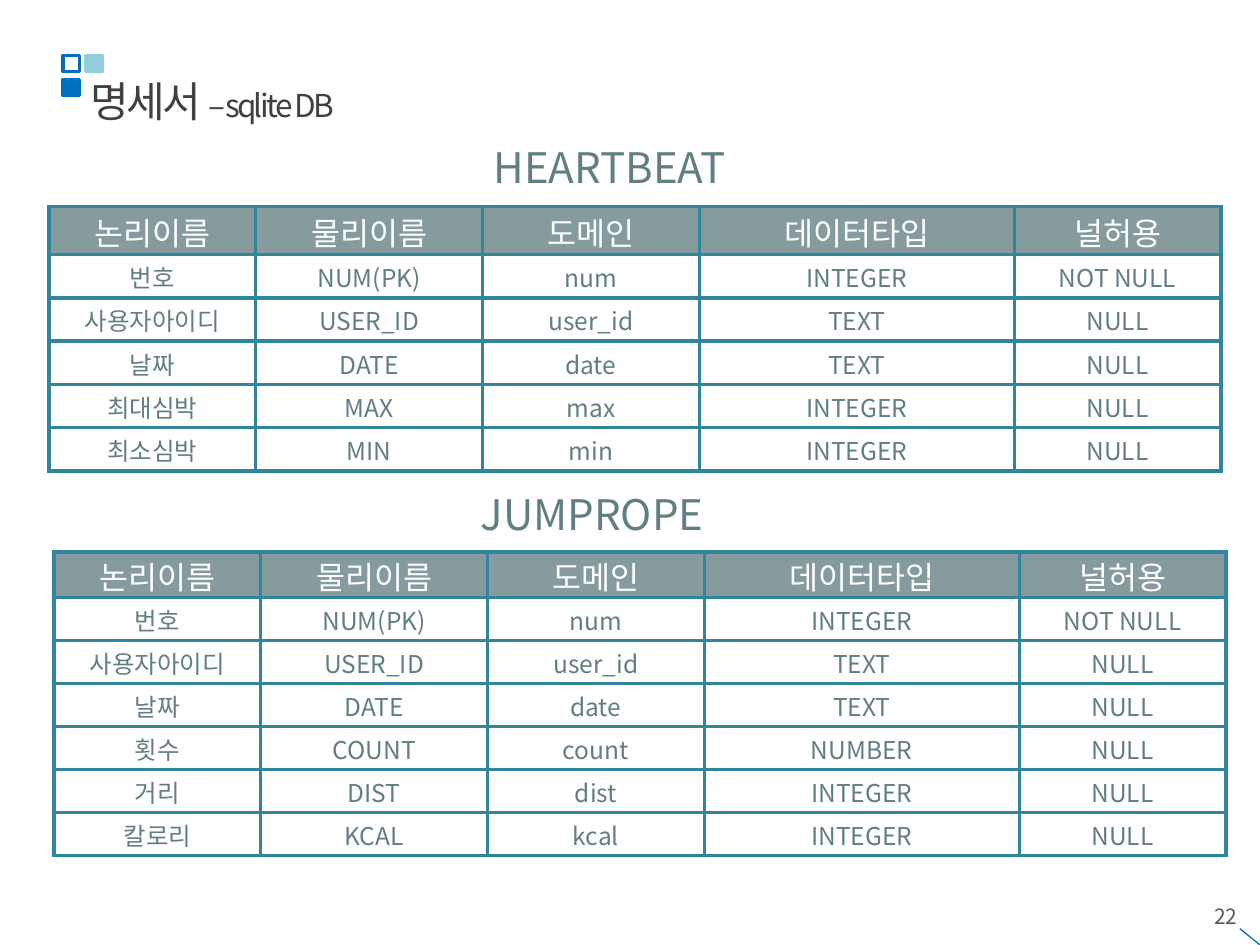
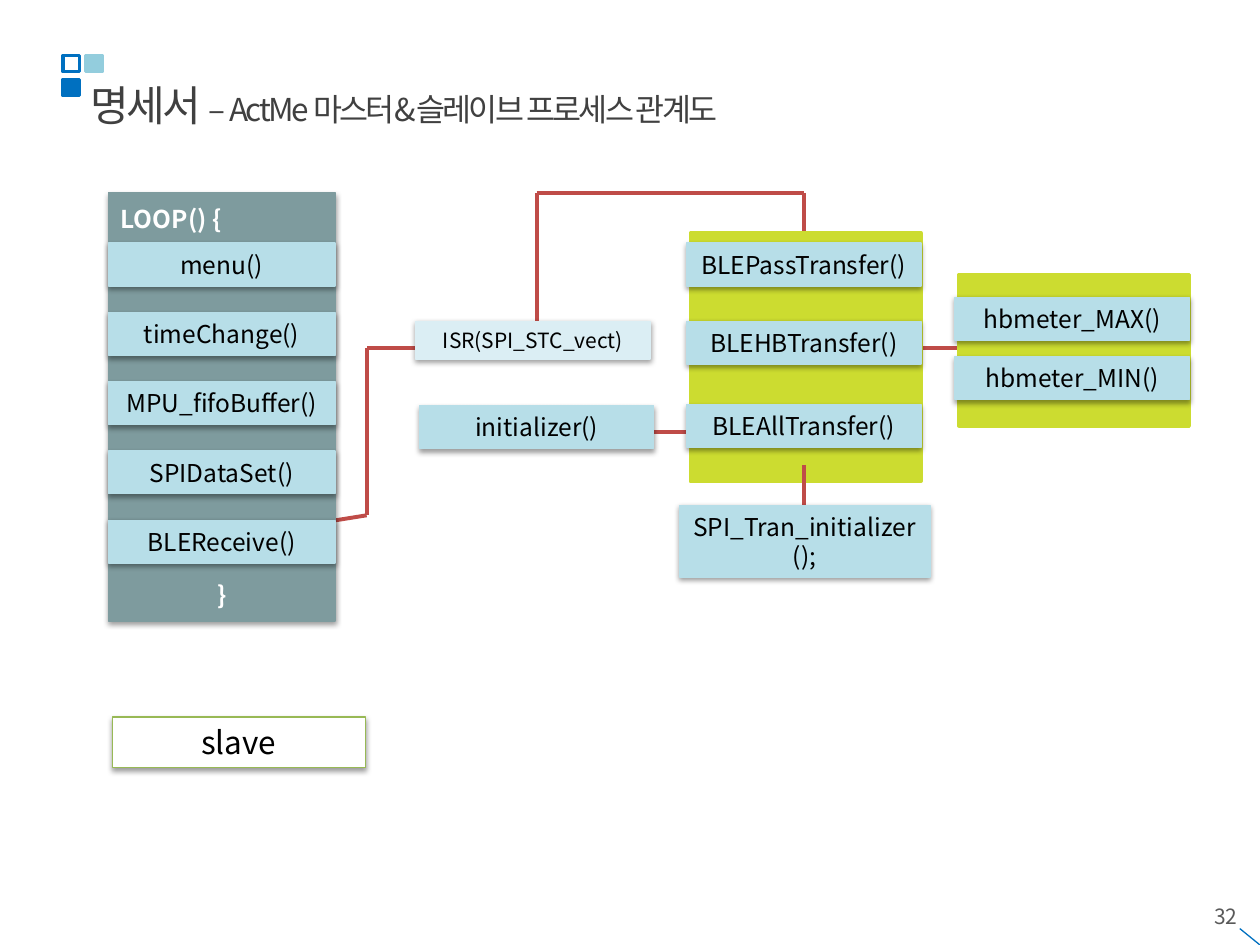
from collections import namedtuple

from lxml import etree
from pptx import Presentation
from pptx.dml.color import RGBColor
from pptx.enum.shapes import MSO_CONNECTOR as Connector, MSO_SHAPE as Shape
from pptx.enum.text import MSO_ANCHOR as Anchor, PP_ALIGN as Align
from pptx.oxml import parse_xml
from pptx.oxml.ns import nsdecls, qn
from pptx.util import Inches, Pt

FONT = "Noto Sans CJK KR"
COLORS = {
    "title": "404040", "number": "595959", "accent": "0070C0", "pale": "93CDDD",
    "slate": "617E81", "border": "31859C", "white": "FFFFFF", "black": "000000",
    "link": "BF4C48", "panel": "CCDC30", "loop": "7E9B9E", "call": "B7DEE8",
    "interrupt": "DBEEF4", "role": "98B955",
}
COLUMN_WIDTHS = [1.64, 1.8, 1.72, 2.5, 1.64]
HEADER = ["논리이름", "물리이름", "도메인", "데이터타입", "널허용"]
COMMON_ROWS = [
    ["번호", "NUM(PK)", "num", "INTEGER", "NOT NULL"],
    ["사용자아이디", "USER_ID", "user_id", "TEXT", "NULL"],
    ["날짜", "DATE", "date", "TEXT", "NULL"],
]
HEARTBEAT_ROWS = COMMON_ROWS + [
    ["최대심박", "MAX", "max", "INTEGER", "NULL"],
    ["최소심박", "MIN", "min", "INTEGER", "NULL"],
]
JUMPROPE_ROWS = COMMON_ROWS + [
    ["횟수", "COUNT", "count", "NUMBER", "NULL"],
    ["거리", "DIST", "dist", "INTEGER", "NULL"],
    ["칼로리", "KCAL", "kcal", "INTEGER", "NULL"],
]
LOOP_CALLS = ["menu()", "timeChange()", "MPU_fifoBuffer()", "SPIDataSet()", "BLEReceive()"]
TRANSFERS = [("BLEPassTransfer()", 0.08), ("BLEHBTransfer()", 0.7), ("BLEAllTransfer()", 1.36)]
METERS = [("hbmeter_MAX()", 0.18), ("hbmeter_MIN()", 0.65)]
LINKS_BEHIND = [
    [(7.13, 2.76), (7.78, 2.76)],
    [(4.26, 2.76), (4.26, 1.53), (6.38, 1.53), (6.38, 2.14)],
]
LINKS_IN_FRONT = [
    [(5.19, 3.43), (5.51, 3.43)],
    [(6.38, 3.69), (6.38, 4.21)],
    [(4.02, 2.76), (2.91, 2.76), (2.91, 4.09), (2.66, 4.13)],
]

Box = namedtuple("Box", "left top width height")


def color(name):
    """Return the named colour."""
    return RGBColor.from_string(COLORS[name])


def inches(values):
    """Convert each number to a length."""
    return [Inches(value) for value in values]


def set_attributes(target, values):
    """Set every attribute listed in a dict."""
    for name, value in values.items():
        setattr(target, name, value)


def add_run(paragraph, text, size, color_name, bold=False):
    """Add a formatted run, also for East Asian letters."""
    run = paragraph.add_run()
    run.text = text
    set_attributes(run.font, {"name": FONT, "size": Pt(size), "bold": bold})
    run.font.color.rgb = color(color_name)
    etree.SubElement(run.font._element, qn("a:ea")).set("typeface", FONT)
    return run


def add_label(slide, box, text, size, color_name, align):
    """Add a one-line text box."""
    frame = slide.shapes.add_textbox(*inches(box)).text_frame
    frame.word_wrap = True
    frame.paragraphs[0].alignment = align
    add_run(frame.paragraphs[0], text, size, color_name)


def add_rectangle(slide, box, fill, line, line_width=0.75, raised=False):
    """Add a rectangle, raised by a soft shadow if wanted."""
    shape = slide.shapes.add_shape(Shape.RECTANGLE, *inches(box))
    shape.shadow.inherit = False
    if fill:
        shape.fill.solid()
        shape.fill.fore_color.rgb = color(fill)
    else:
        shape.fill.background()
    shape.line.color.rgb = color(line)
    shape.line.width = Pt(line_width)
    if raised:
        effects = shape._element.spPr.find(qn("a:effectLst"))
        effects.append(parse_xml(
            f'<a:outerShdw {nsdecls("a")} blurRad="{Pt(3.1)}" dist="{Pt(1.6)}" dir="5400000" '
            f'rotWithShape="0"><a:srgbClr val="{COLORS["black"]}"><a:alpha val="38000"/>'
            '</a:srgbClr></a:outerShdw>'))
    return shape


def add_call(slide, box, text, size=14, fill="call", line=None):
    """Add a raised box with one centred label."""
    frame = add_rectangle(slide, box, fill, line or fill, raised=True).text_frame
    set_attributes(frame, {"word_wrap": True, "vertical_anchor": Anchor.MIDDLE})
    frame.paragraphs[0].alignment = Align.CENTER
    add_run(frame.paragraphs[0], text, size, "black")


def add_links(slide, routes, color_name="link", width=2.25):
    """Draw each route as straight segments between its points."""
    for route in routes:
        for start, end in zip(route, route[1:]):
            connector = slide.shapes.add_connector(Connector.STRAIGHT, *inches(start + end))
            connector.line.color.rgb = color(color_name)
            connector.line.width = Pt(width)
            etree.SubElement(connector._element.spPr, qn("a:effectLst"))


def add_base_slide(presentation, subtitle, title_top, number):
    """Add a slide with title, corner squares and page number."""
    slide = presentation.slides.add_slide(presentation.slide_layouts[5])
    add_label(slide, Box(7.59, 7.12, 2.33, 0.4), number, 12, "number", Align.RIGHT)
    add_links(slide, [[(10, 7.5), (9.84, 7.37)]], "accent", 0.75)
    for left, top, fill, line in [(0.5, 0.63, "accent", "accent"), (0.5, 0.44, None, "accent"),
                                  (0.68, 0.44, "pale", "pale")]:
        add_rectangle(slide, Box(left, top, 0.13, 0.13), fill, line, 2)
    title = slide.shapes.title
    position = inches(Box(0.62, title_top, 8.59, 0.5))
    set_attributes(title, dict(zip(Box._fields, position)))
    set_attributes(title.text_frame, {"word_wrap": True, "vertical_anchor": Anchor.TOP})
    paragraph = title.text_frame.paragraphs[0]
    paragraph.alignment = Align.LEFT
    for text, size in [("명세서 ", 24), (subtitle, 18)]:
        add_run(paragraph, text, size, "title").font._element.set("spc", "-150")
    return slide


def format_cell(cell, text, is_header):
    """Write one table cell with its borders and fill."""
    margins = dict.fromkeys(["margin_left", "margin_right", "margin_top"], Inches(0.01))
    set_attributes(cell, {**margins, "margin_bottom": 0, "vertical_anchor": Anchor.MIDDLE})
    paragraph = cell.text_frame.paragraphs[0]
    paragraph.alignment = Align.CENTER
    add_run(paragraph, text, 18 if is_header else 14, "white" if is_header else "slate")
    cell.fill.solid()
    cell.fill.fore_color.rgb = color("slate" if is_header else "white")
    properties = cell._tc.get_or_add_tcPr()
    if is_header:
        fill_color = properties.find(".//" + qn("a:srgbClr"))
        etree.SubElement(fill_color, qn("a:alpha")).set("val", "77000")
    for index, side in enumerate("LRTB"):
        properties.insert(index, parse_xml(
            f'<a:ln{side} {nsdecls("a")} w="{Pt(2.25)}"><a:solidFill>'
            f'<a:srgbClr val="{COLORS["border"]}"/></a:solidFill></a:ln{side}>'))


def add_schema(slide, box, header_height, rows):
    """Add a table of database columns."""
    records = [HEADER] + rows
    table = slide.shapes.add_table(len(records), len(HEADER), *inches(box)).table
    set_attributes(table, {"first_row": False, "horz_banding": False})
    for column, width in zip(table.columns, COLUMN_WIDTHS):
        column.width = Inches(width)
    row_height = (box.height - header_height) / len(rows)
    for index, record in enumerate(records):
        table.rows[index].height = Inches(row_height if index else header_height)
        for cell, text in zip(table.rows[index].cells, record):
            format_cell(cell, text, index == 0)


def add_loop(slide, box):
    """Add the main loop with its calls at an equal pitch."""
    frame = add_rectangle(slide, box, "loop", "loop", raised=True).text_frame
    set_attributes(frame, {"word_wrap": True, "vertical_anchor": Anchor.MIDDLE})
    opening, closing = frame.paragraphs[0], frame.add_paragraph()
    opening.alignment = Align.LEFT
    set_attributes(closing, {"alignment": Align.CENTER, "space_before": Pt(198)})
    add_run(opening, "LOOP() {", 14, "white", True)
    add_run(closing, "}", 14, "white", True)
    for index, text in enumerate(LOOP_CALLS):
        add_call(slide, Box(box.left, box.top + 0.4 + index * 0.55, box.width, 0.34), text)


def add_call_group(slide, box, calls):
    """Add calls over a panel, each at its offset from the top."""
    for text, offset in calls:
        add_call(slide, Box(box.left - 0.03, box.top + offset, box.width + 0.03, 0.34), text)


def build_schema_slide(presentation):
    """Build the slide with the two database tables."""
    slide = add_base_slide(presentation, "–sqlite DB", 0.55, "22")
    add_schema(slide, Box(0.39, 1.64, 9.3, 2.1), 0.38, HEARTBEAT_ROWS)
    add_label(slide, Box(3.59, 1.07, 2.5, 0.49), "HEARTBEAT", 24, "slate", Align.CENTER)
    add_label(slide, Box(3.06, 3.83, 3.28, 0.5), "JUMPROPE", 24, "slate", Align.CENTER)
    add_schema(slide, Box(0.43, 4.38, 9.3, 2.41), 0.36, JUMPROPE_ROWS)


def build_process_slide(presentation):
    """Build the slide with the process diagram."""
    subtitle = "– ActMe 마스터&슬레이브 프로세스 관계도"
    slide = add_base_slide(presentation, subtitle, 0.58, "32")
    transfer_box, meter_box = Box(5.48, 1.85, 1.83, 1.97), Box(7.61, 2.18, 1.83, 1.2)
    add_links(slide, LINKS_BEHIND)
    for box in (transfer_box, meter_box):
        add_rectangle(slide, box, "panel", "panel", 2)
    add_links(slide, LINKS_IN_FRONT)
    add_loop(slide, Box(0.86, 1.53, 1.8, 3.4))
    add_call_group(slide, transfer_box, TRANSFERS)
    add_call_group(slide, meter_box, METERS)
    add_call(slide, Box(3.33, 3.22, 1.86, 0.34), "initializer()")
    add_call(slide, Box(5.39, 4.01, 1.99, 0.57), "SPI_Tran_initializer();")
    add_call(slide, Box(3.3, 2.55, 1.86, 0.3), "ISR(SPI_STC_vect)", 12, "interrupt")
    add_call(slide, Box(0.89, 5.69, 2.01, 0.4), "slave", 18, "white", "role")


def main():
    """Build and save the presentation."""
    presentation = Presentation()
    set_attributes(presentation, {"slide_width": Inches(10), "slide_height": Inches(7.5)})
    build_schema_slide(presentation)
    build_process_slide(presentation)
    presentation.save("out.pptx")


if __name__ == "__main__":
    main()
